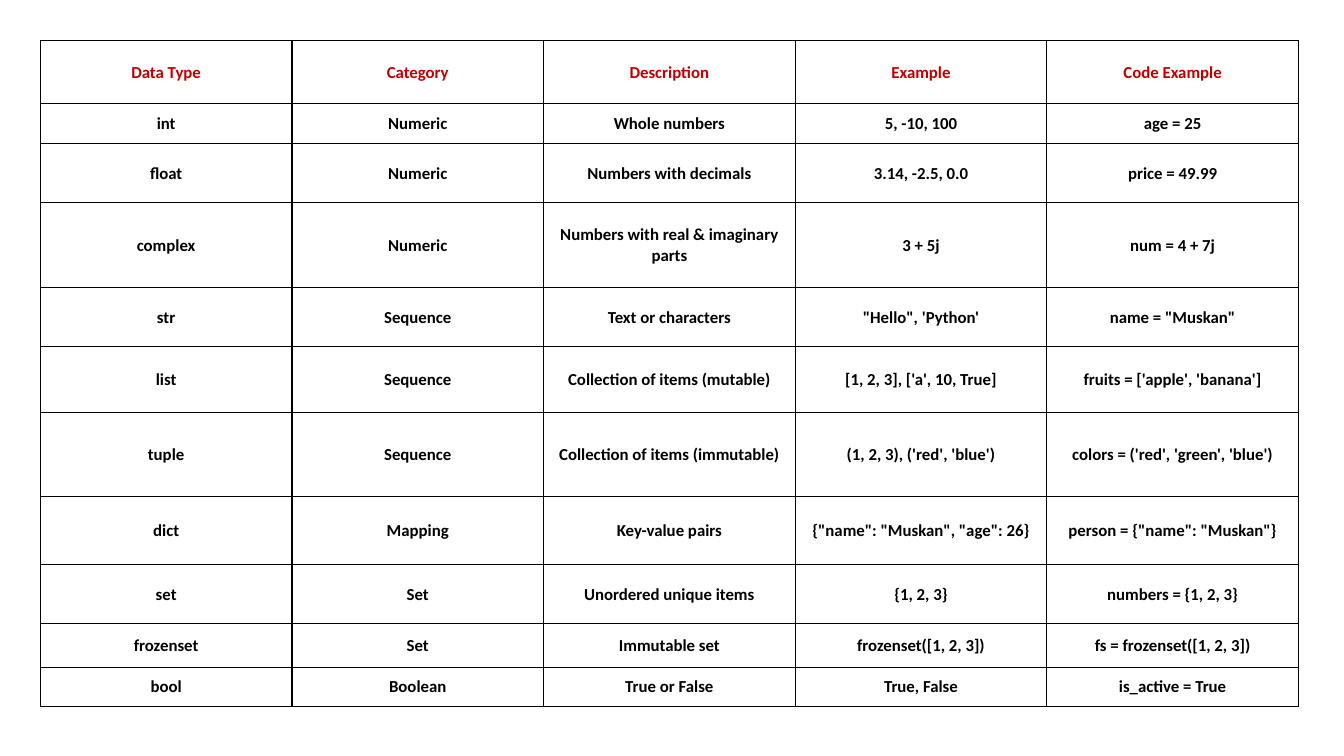
from dataclasses import dataclass

from lxml.etree import SubElement
from pptx import Presentation
from pptx.dml.color import RGBColor
from pptx.enum.text import MSO_ANCHOR, PP_ALIGN
from pptx.oxml.ns import qn
from pptx.util import Pt

SCALE = 9144


def px(count):
    return count * SCALE


@dataclass(frozen=True)
class Theme:
    font: str = "Calibri"
    size: int = 12
    head: str = "C00000"
    body: str = "000000"
    rule: str = "000000"
    weight: int = 1


class Board:
    def __init__(self, deck, theme):
        self.theme = theme
        self.slide = deck.slides.add_slide(deck.slide_layouts[6])

    def table(self, left, top, width, tall, rows):
        count = len(rows[0])
        frame = self.slide.shapes.add_table(
            len(rows), count, px(left), px(top), px(width), px(sum(tall))
        )
        grid = frame.table
        grid.first_row = grid.horz_banding = False
        for column in grid.columns:
            column.width = px(width) // count
        for index, (height, words) in enumerate(zip(tall, rows)):
            grid.rows[index].height = px(height)
            color = self.theme.body if index else self.theme.head
            for cell, text in zip(grid.rows[index].cells, words):
                self.cell(cell, text, color)

    def cell(self, cell, text, color):
        form = {
            "vertical_anchor": MSO_ANCHOR.MIDDLE,
            "margin_left": px(1),
            "margin_right": px(1),
            "margin_top": px(1),
            "margin_bottom": 0,
        }
        for name, value in form.items():
            setattr(cell, name, value)
        self.edge(cell)
        cell.fill.background()
        line = cell.text_frame.paragraphs[0]
        line.alignment = PP_ALIGN.CENTER
        run = line.add_run()
        run.text = text
        style = {"name": self.theme.font, "size": Pt(self.theme.size), "bold": True}
        for name, value in style.items():
            setattr(run.font, name, value)
        run.font.color.rgb = RGBColor.from_string(color)

    def edge(self, cell):
        props = cell._tc.get_or_add_tcPr()
        for side in ("L", "R", "T", "B"):
            line = SubElement(
                props, qn(f"a:ln{side}"), w=str(Pt(self.theme.weight))
            )
            fill = SubElement(line, qn("a:solidFill"))
            SubElement(fill, qn("a:srgbClr"), val=self.theme.rule)


ROWS = [
    ("Data Type", "Category", "Description", "Example", "Code Example"),
    ("int", "Numeric", "Whole numbers", "5, -10, 100", "age = 25"),
    ("float", "Numeric", "Numbers with decimals", "3.14, -2.5, 0.0", "price = 49.99"),
    ("complex", "Numeric", "Numbers with real & imaginary parts", "3 + 5j", "num = 4 + 7j"),
    ("str", "Sequence", "Text or characters", "\"Hello\", 'Python'", 'name = "Muskan"'),
    ("list", "Sequence", "Collection of items (mutable)",
     "[1, 2, 3], ['a', 10, True]", "fruits = ['apple', 'banana']"),
    ("tuple", "Sequence", "Collection of items (immutable)",
     "(1, 2, 3), ('red', 'blue')", "colors = ('red', 'green', 'blue')"),
    ("dict", "Mapping", "Key-value pairs",
     '{"name": "Muskan", "age": 26}', 'person = {"name": "Muskan"}'),
    ("set", "Set", "Unordered unique items", "{1, 2, 3}", "numbers = {1, 2, 3}"),
    ("frozenset", "Set", "Immutable set", "frozenset([1, 2, 3])", "fs = frozenset([1, 2, 3])"),
    ("bool", "Boolean", "True or False", "True, False", "is_active = True"),
]
TALL = (63, 39, 59, 84, 59, 65, 84, 67, 59, 43, 39)


def main():
    deck = Presentation()
    deck.slide_width, deck.slide_height = px(1333), px(750)
    board = Board(deck, Theme())
    board.table(40, 40, 1248, TALL, ROWS)
    deck.save("out.pptx")


if __name__ == "__main__":
    main()
